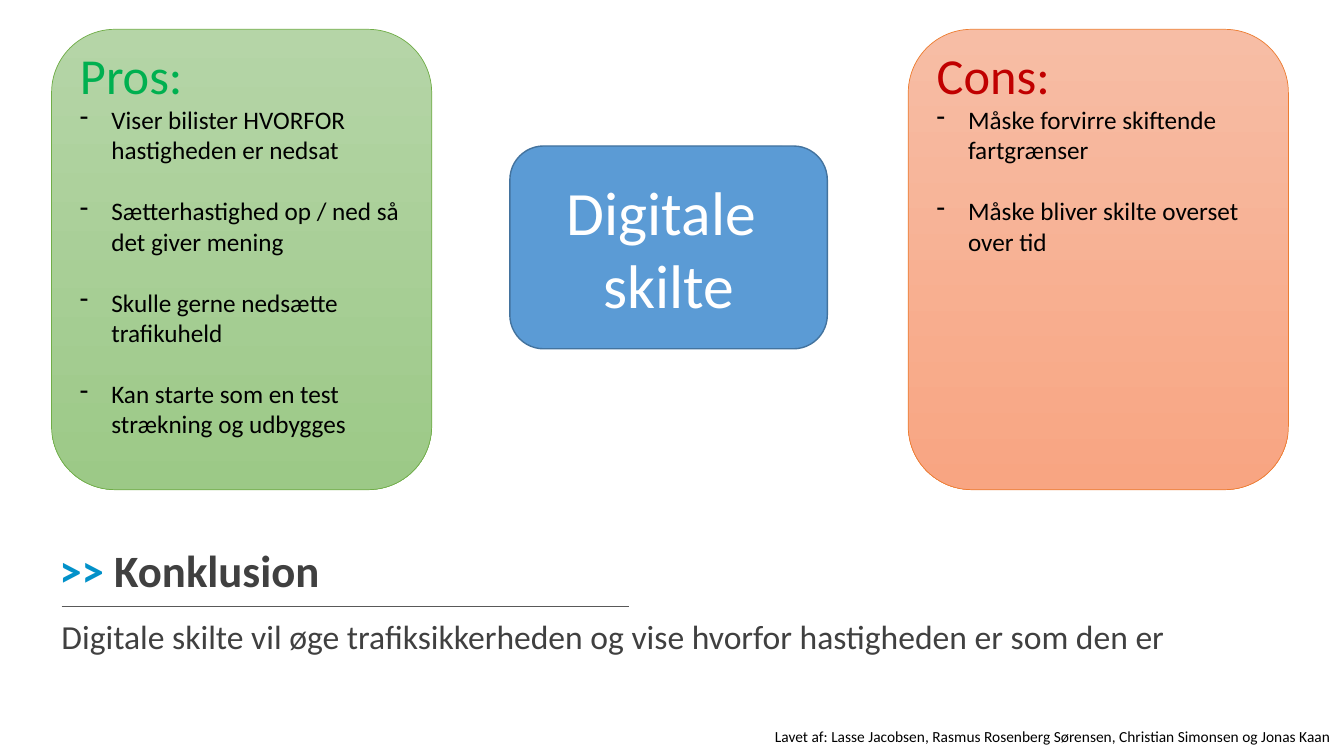
"""Build a slide weighing pros and cons of digital road signs."""
from lxml.etree import SubElement
from pptx import Presentation
from pptx.dml.color import RGBColor
from pptx.enum.shapes import MSO_CONNECTOR, MSO_SHAPE
from pptx.enum.text import MSO_ANCHOR, PP_ALIGN
from pptx.oxml.ns import qn
from pptx.util import Cm, Pt

COLOURS = {
    "white": "FFFFFF", "black": "000000", "text": "404040", "accent": "0291C9",
    "rule": "595959", "blue": "5B9BD5", "blue edge": "43739E",
    "pros": "00B050", "pros top": "B5D5A7", "pros bottom": "9CC987", "pros edge": "70AD47",
    "cons": "C00000", "cons top": "F7BDA5", "cons bottom": "F8A582", "cons edge": "ED7D31",
}
TOPIC = ["Digitale ", "skilte"]
PANELS = [
    ("pros", 1.3, "Pros:", [
        "Viser bilister HVORFOR hastigheden er nedsat",
        "Sætterhastighed op / ned så det giver mening",
        "Skulle gerne nedsætte trafikuheld",
        "Kan starte som en test strækning og udbygges",
    ]),
    ("cons", 22.89, "Cons:", [
        "Måske forvirre skiftende fartgrænser",
        "Måske bliver skilte overset over tid",
    ]),
]
HEADING = [(">> ", "accent"), ("Konklusion", "text")]
CONCLUSION = "Digitale skilte vil øge trafiksikkerheden og vise hvorfor hastigheden er som den er"
CREDIT = "Lavet af: Lasse Jacobsen, Rasmus Rosenberg Sørensen, Christian Simonsen og Jonas Kaan"


def colour(name):
    return RGBColor.from_string(COLOURS[name])


def style(span, size, name, bold=False):
    span.font.name = "Calibri"
    span.font.size = Pt(size)
    span.font.bold = bold
    span.font.color.rgb = colour(name)


def write(frame, lines, size, name, align=PP_ALIGN.LEFT):
    frame.word_wrap = True
    frame.text = "\n".join(lines)
    for para in frame.paragraphs:
        para.alignment = align
        style(para.runs[0], size, name)


def add_round_box(page, left, top, width, height, edge, weight):
    box = page.shapes.add_shape(
        MSO_SHAPE.ROUNDED_RECTANGLE, Cm(left), Cm(top), Cm(width), Cm(height))
    box.shadow.inherit = False
    box.line.color.rgb = colour(edge)
    box.line.width = Pt(weight)
    return box


def add_text(page, left, top, width, height, text, size, name):
    box = page.shapes.add_textbox(Cm(left), Cm(top), Cm(width), Cm(height))
    write(box.text_frame, [text], size, name)
    return box.text_frame.paragraphs[0]


def add_dash(para):
    properties = para._p.get_or_add_pPr()
    properties.set("marL", str(Cm(0.79)))
    properties.set("indent", str(Cm(-0.79)))
    SubElement(properties, qn("a:buFontTx"))
    SubElement(properties, qn("a:buChar")).set("char", "-")


def add_panel(page, key, left, heading, points):
    box = add_round_box(page, left, 0.74, 9.58, 11.6, f"{key} edge", 0.5)
    box.fill.gradient()
    box.fill.gradient_angle = 270
    for stop, end in zip(box.fill.gradient_stops, ("top", "bottom")):
        stop.color.rgb = colour(f"{key} {end}")
    frame = box.text_frame
    write(frame, [heading, *points], 18, "black")
    frame.vertical_anchor = MSO_ANCHOR.TOP
    frame.margin_top = Cm(-0.1)
    style(frame.paragraphs[0].runs[0], 36, key)
    for para in frame.paragraphs[1:]:
        para.space_after = Pt(22)
        add_dash(para)


def add_heading(page):
    title = page.shapes.title
    title.left, title.top, title.width, title.height = Cm(1.24), Cm(13.77), Cm(24.54), Cm(1.4)
    title.text_frame.vertical_anchor = MSO_ANCHOR.BOTTOM
    para = title.text_frame.paragraphs[0]
    para.alignment = PP_ALIGN.LEFT
    para.line_spacing = 0.9
    for text, name in HEADING:
        span = para.add_run()
        span.text = text
        style(span, 32, name, bold=True)


def add_rule(page):
    rule = page.shapes.add_connector(
        MSO_CONNECTOR.STRAIGHT, Cm(1.55), Cm(15.27), Cm(15.85), Cm(15.27))
    rule.line.color.rgb = colour("rule")
    rule.line.width = Pt(0.5)
    SubElement(rule._element.spPr, qn("a:effectLst"))


def main():
    deck = Presentation()
    deck.slide_width, deck.slide_height = Cm(33.87), Cm(19.05)
    page = deck.slides.add_slide(deck.slide_layouts[5])
    add_heading(page)
    conclusion = add_text(page, 1.3, 15.52, 31.14, 2.67, CONCLUSION, 24, "text")
    conclusion.line_spacing = 0.9
    add_rule(page)
    add_text(page, 19.28, 18.19, 14.53, 0.74, CREDIT, 11, "black")
    topic = add_round_box(page, 12.85, 3.68, 8, 5.11, "blue edge", 1)
    topic.fill.solid()
    topic.fill.fore_color.rgb = colour("blue")
    write(topic.text_frame, TOPIC, 44, "white", PP_ALIGN.CENTER)
    topic.text_frame.vertical_anchor = MSO_ANCHOR.MIDDLE
    for panel in PANELS:
        add_panel(page, *panel)
    deck.save("out.pptx")


if __name__ == "__main__":
    main()
